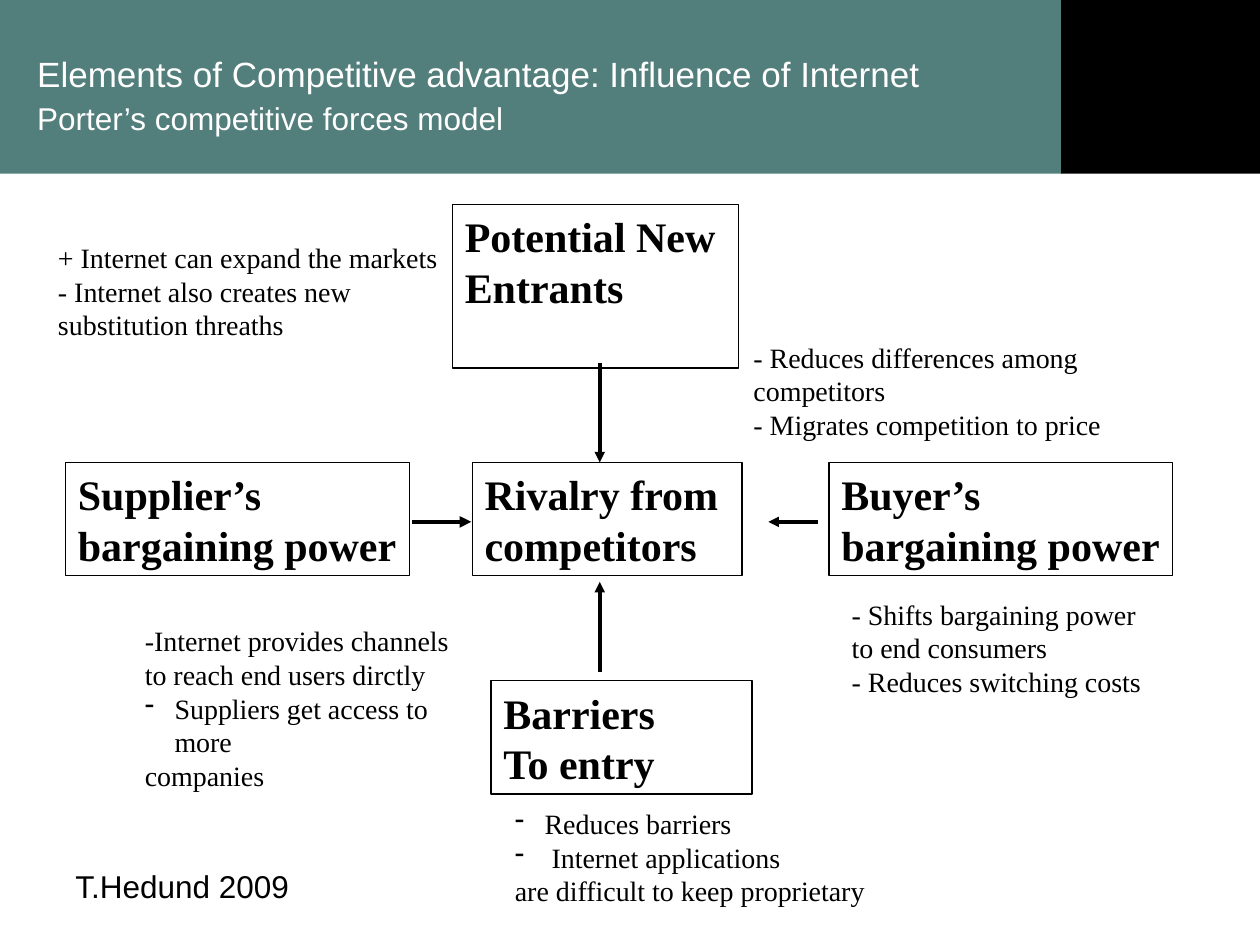
from lxml.etree import SubElement
from pptx import Presentation
from pptx.dml.color import RGBColor as RGB
from pptx.enum.shapes import MSO_CONNECTOR as CONN, MSO_SHAPE as SHAPE
from pptx.enum.text import MSO_ANCHOR as ANCHOR, PP_ALIGN as ALIGN
from pptx.oxml.ns import qn
from pptx.util import Cm, Pt

COLORS = {"band": "527E7C", "black": "000000", "white": "FFFFFF"}
SANS, SERIF = "Arial", "Times New Roman"
BULLET = "* "  # marks a line that gets a dash bullet


class SlideBuilder:
    def __init__(self, slide):
        self.slide = slide
        self.inset = Cm(0.25)
        self.pad = Cm(0.13)
        self.hanging = Cm(0.6)

    def color(self, name):
        return RGB.from_string(COLORS[name])

    def rect(self, x, y, w, h, fill=None, line=None):
        sp = self.slide.shapes.add_shape(SHAPE.RECTANGLE, Cm(x), Cm(y), Cm(w), Cm(h))
        sp.shadow.inherit = False
        if fill:
            sp.fill.solid()
            sp.fill.fore_color.rgb = self.color(fill)
        else:
            sp.fill.background()
        if line:
            sp.line.color.rgb = self.color(line)
            sp.line.width = Pt(0.75)
        else:
            sp.line.fill.background()
        return sp

    def frame(self, sp, anchor=ANCHOR.TOP):
        tf = sp.text_frame
        tf.word_wrap = True
        tf.vertical_anchor = anchor
        tf.margin_left, tf.margin_right = self.inset, 0
        tf.margin_top = tf.margin_bottom = self.pad
        return tf

    def run(self, p, text, size, font, color="black", bold=False):
        r = p.add_run()
        r.text = text
        r.font.size, r.font.name, r.font.bold = Pt(size), font, bold
        r.font.color.rgb = self.color(color)

    def bullet(self, p):
        pPr = p._p.get_or_add_pPr()
        pPr.set("marL", str(self.hanging))
        pPr.set("indent", str(-self.hanging))
        SubElement(pPr, qn("a:buChar")).set("char", "-")

    def lines(self, tf, lines, size, font, bold=False):
        for i, line in enumerate(lines):
            p = tf.add_paragraph() if i else tf.paragraphs[0]
            p.alignment = ALIGN.LEFT
            if line.startswith(BULLET):
                self.bullet(p)
            self.run(p, line.removeprefix(BULLET), size, font, bold=bold)

    def force(self, x, y, w, h, *lines):
        sp = self.rect(x, y, w, h, line="black")
        self.lines(self.frame(sp), lines, 24, SERIF, bold=True)

    def text(self, x, y, w, h, *lines, size=16, font=SERIF):
        sp = self.slide.shapes.add_textbox(Cm(x), Cm(y), Cm(w), Cm(h))
        self.lines(self.frame(sp), lines, size, font)

    def title(self, x, y, w, h, heading, subheading):
        sp = self.slide.shapes.add_textbox(Cm(x), Cm(y), Cm(w), Cm(h))
        tf = self.frame(sp, ANCHOR.MIDDLE)
        tf.margin_top, tf.margin_bottom = 0, Cm(0.8)  # sits high in its box
        p = tf.paragraphs[0]
        p.line_spacing = 1.1
        self.run(p, heading, 20, SANS, "white")
        p.add_line_break()
        self.run(p, subheading, 18, SANS, "white")

    def arrow(self, x1, y1, x2, y2, width=2):
        ln = self.slide.shapes.add_connector(CONN.STRAIGHT, Cm(x1), Cm(y1), Cm(x2), Cm(y2))
        ln.line.color.rgb = self.color("black")
        ln.line.width = Pt(width)
        SubElement(ln.line._get_or_add_ln(), qn("a:tailEnd")).set("type", "triangle")
        SubElement(ln._element.spPr, qn("a:effectLst"))


def main():
    prs = Presentation()
    prs.slide_width, prs.slide_height = Cm(25.4), Cm(19.05)
    s = SlideBuilder(prs.slides.add_slide(prs.slide_layouts[6]))

    # Header band, title and footer
    s.rect(0, 0, 21.4, 3.5, fill="band")
    s.rect(21.39, 0, 4.01, 3.5, fill="black")
    s.text(1.27, 17.35, 5.92, 1.32, "T.Hedund 2009", size=18, font=SANS)
    s.title(0.5, 1.12, 23.1, 2.29,
            "Elements of Competitive advantage: Influence of Internet",
            "Porter’s competitive forces model")

    # The five forces
    row_y, box_h = 9.32, 2.29
    s.force(9.12, 4.12, 5.77, 3.3, "Potential New", "Entrants")
    s.force(9.52, row_y, 5.44, box_h, "Rivalry from", "competitors")
    s.force(16.71, row_y, 6.93, box_h, "Buyer’s", "bargaining power")
    s.force(1.32, row_y, 6.93, box_h, "Supplier’s", "bargaining power")
    s.force(9.9, 13.72, 5.26, box_h, "Barriers", "To entry")

    # Arrows towards the rivalry box
    mid_x, mid_y = 12.09, 10.52
    s.arrow(mid_x, 7.32, mid_x, row_y)
    s.arrow(mid_x, 13.54, mid_x, 11.73)
    s.arrow(16.48, mid_y, 15.49, mid_y)
    s.arrow(8.31, mid_y, 9.5, mid_y, width=2.25)

    # Influence of the Internet on each force
    s.text(0.92, 4.72, 8.15, 2.29, "+ Internet can expand the markets",
           "- Internet also creates new", "substitution threaths")
    s.text(14.94, 6.73, 7.52, 2.29, "- Reduces differences among",
           "competitors", "- Migrates competition to price")
    s.text(16.92, 11.91, 6.38, 2.29, "- Shifts bargaining power",
           "to end consumers", "- Reduces switching costs")
    s.text(2.67, 12.45, 7.09, 2.97, "-Internet provides channels",
           "to reach end users dirctly",
           BULLET + "Suppliers get access to more", "companies")
    s.text(10.13, 16.13, 7.57, 2.29, BULLET + "Reduces barriers",
           BULLET + " Internet applications", "are difficult to keep proprietary")

    prs.save("out.pptx")


if __name__ == "__main__":
    main()
